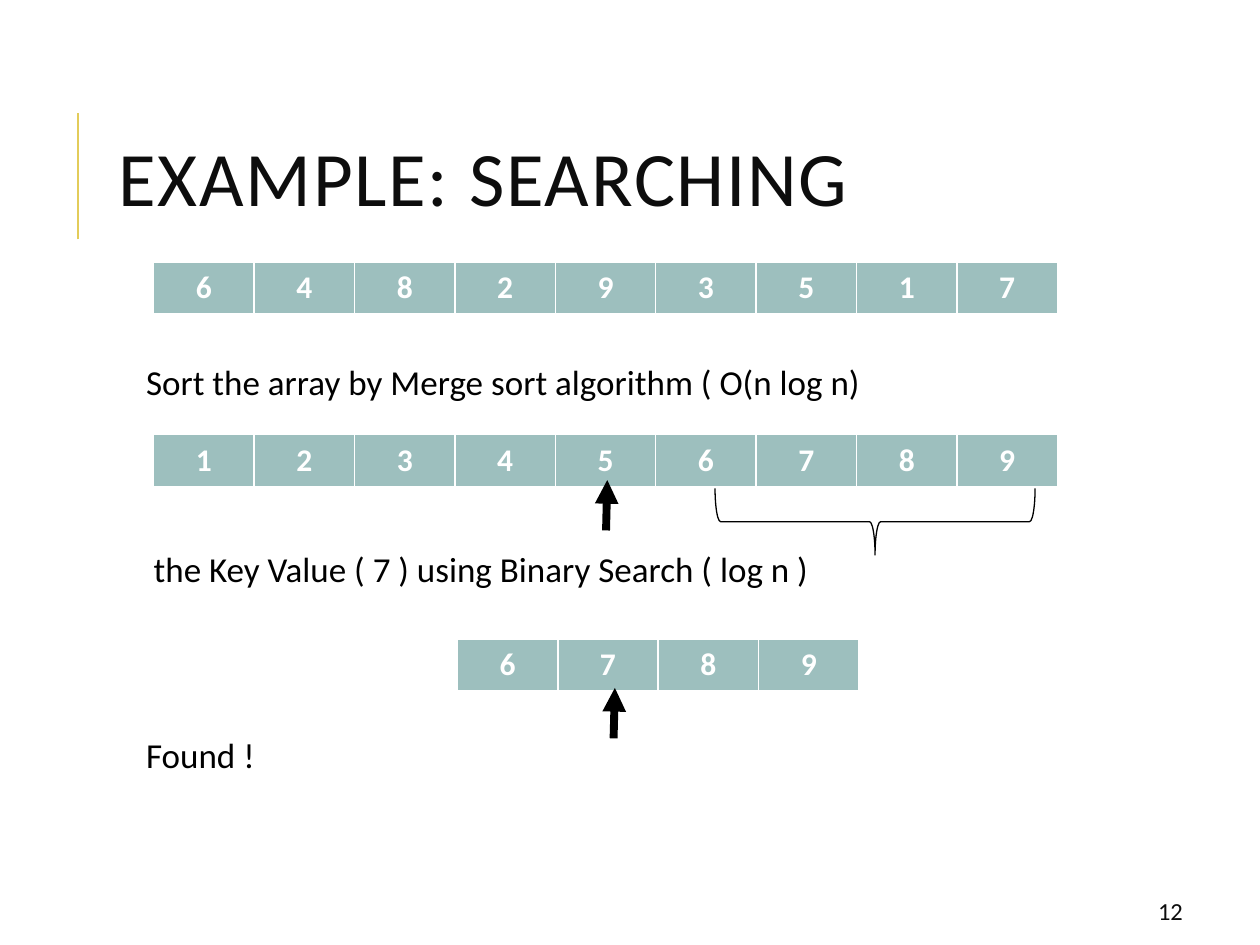
from lxml import etree
from pptx import Presentation
from pptx.dml.color import RGBColor
from pptx.enum.shapes import MSO_CONNECTOR, MSO_SHAPE
from pptx.enum.text import MSO_ANCHOR, MSO_AUTO_SIZE, PP_ALIGN
from pptx.oxml.ns import qn
from pptx.util import Inches, Pt

LINE, BRACE = MSO_CONNECTOR.STRAIGHT, MSO_SHAPE.LEFT_BRACE
LEFT, CENTER = PP_ALIGN.LEFT, PP_ALIGN.CENTER
TOP, MIDDLE = MSO_ANCHOR.TOP, MSO_ANCHOR.MIDDLE
FIXED = MSO_AUTO_SIZE.NONE

TITLE = "EXAMPLE: SEARCHING"
PAGE = "12"
STEPS = [
    ("Sort the array by Merge sort algorithm ( O(n log n)", 0.1),
    ("the Key Value ( 7 ) using Binary Search ( log n )", 0.16),
    ("Found !", 0.1),
]
ARRAYS = [
    ("648293517", 1.22, 2.08),
    ("123456789", 1.22, 3.45),
    ("6789", 3.63, 5.07),
]
MARKS = [(4.81, 4.21), (4.87, 5.86)]
COLOR = {"ink": "000000", "title": "0D0D0D", "rule": "E3CC5A",
         "cell": "9DBFBE", "white": "FFFFFF"}
FONT = "Calibri"
WIDE, HIGH = 10, 7.5
COL, ROW = 0.797, 0.41


def rgb(name):
    return RGBColor.from_string(COLOR[name])


def write(frame, *lines, size=20, color="ink", align=LEFT, anchor=TOP,
          bold=False, lead=1.0, gap=0, track=0):
    frame.word_wrap = True
    frame.vertical_anchor = anchor
    for i, (text, indent) in enumerate(lines):
        par = frame.add_paragraph() if i else frame.paragraphs[0]
        run = par.add_run()
        run.text = text
        par.alignment = align
        par.line_spacing = lead
        par.space_before = Pt(gap if i else 0)
        props = par._p.get_or_add_pPr()
        props.set("marL", str(Inches(indent)))
        props.set("indent", "0")
        font = run.font
        font.name, font.size, font.bold = FONT, Pt(size), bold
        font.color.rgb = rgb(color)
        if track:
            run._r.get_or_add_rPr().set("spc", str(track))


def box(slide, *place):
    return slide.shapes.add_textbox(*map(Inches, place)).text_frame


def line(slide, *ends, color="ink", width=1.5, arrow=False):
    rule = slide.shapes.add_connector(LINE, *map(Inches, ends))
    rule.line.color.rgb = rgb(color)
    rule.line.width = Pt(width)
    if arrow:
        etree.SubElement(rule.line._get_or_add_ln(), qn("a:tailEnd"), type="triangle")
    etree.SubElement(rule._element.spPr, qn("a:effectLst"))


def array(slide, digits, left, top):
    count = len(digits)
    table = slide.shapes.add_table(
        1, count, *map(Inches, (left, top, count * COL, ROW))).table
    for i, digit in enumerate(digits):
        table.columns[i].width = Inches(COL)
        cell = table.cell(0, i)
        cell.fill.solid()
        cell.fill.fore_color.rgb = rgb("cell")
        write(cell.text_frame, (digit, 0), size=18, color="white",
              align=CENTER, bold=True)


def main():
    deck = Presentation()
    deck.slide_width, deck.slide_height = Inches(WIDE), Inches(HIGH)
    slide = deck.slides.add_slide(deck.slide_layouts[5])

    line(slide, 0.62, 1.9, 0.62, 0.9, color="rule")
    title = slide.shapes.title
    title.left, title.top, title.width, title.height = map(
        Inches, (0.84, 0.64, 7.97, 1.64))
    title.text_frame.auto_size = FIXED
    write(title.text_frame, (TITLE, 0), size=44, color="title",
          anchor=MIDDLE, lead=0.8, track=100)
    write(box(slide, 8.89, 7.08, 0.8, 0.3), (PAGE, 0), size=14,
          color="title", align=CENTER, anchor=MIDDLE)

    body = box(slide, 1.01, 2.85, 7.97, 3.98)
    body.margin_left = body.margin_right = Inches(0.05)
    write(body, *STEPS, lead=0.9, gap=85)

    for digits, left, top in ARRAYS:
        array(slide, digits, left, top)
    for x, y in MARKS:
        line(slide, x, y, x + 0.01, y - 0.4, width=4.5, arrow=True)

    brace = slide.shapes.add_shape(BRACE, *map(Inches, (6.68, 2.87, 0.53, 2.54)))
    brace.rotation = 270
    brace.shadow.inherit = False
    brace.fill.background()
    brace.line.color.rgb = rgb("ink")
    brace.line.width = Pt(0.75)
    deck.save("out.pptx")


if __name__ == "__main__":
    main()
